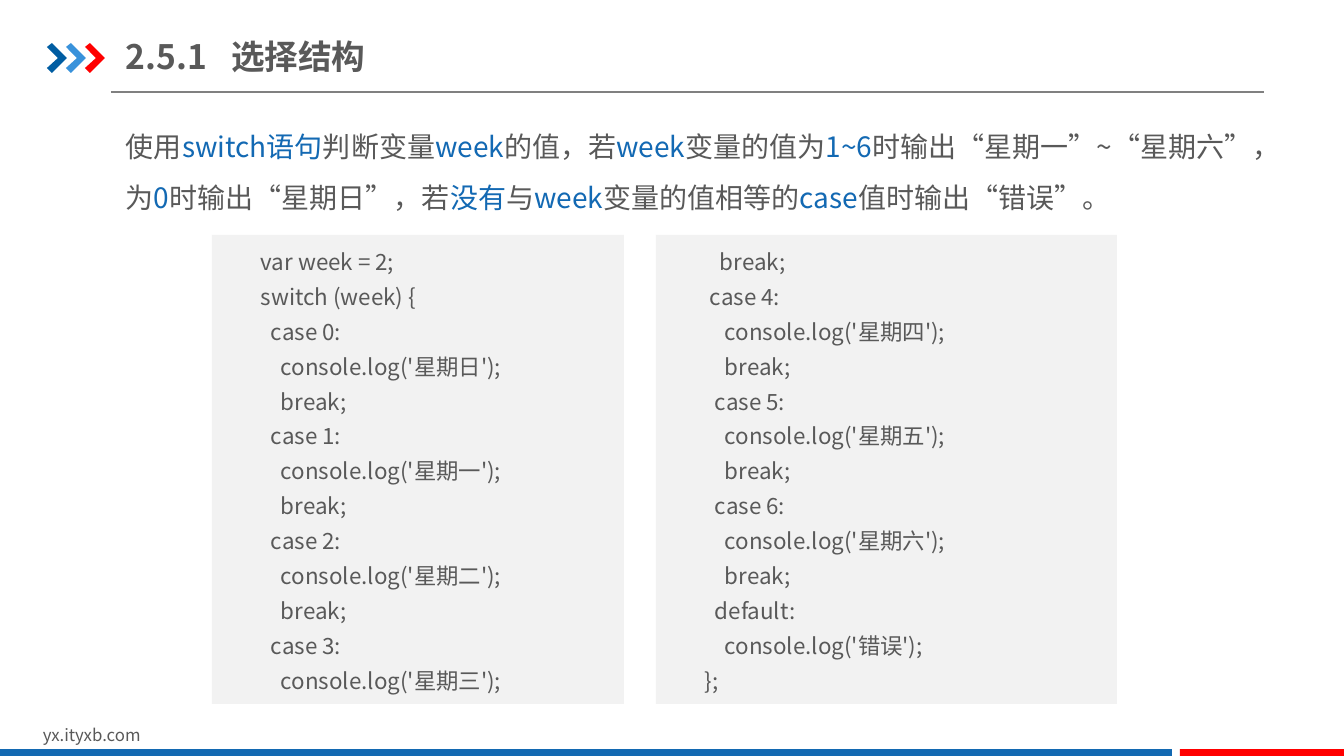
from lxml import etree
from pptx import Presentation
from pptx.dml.color import RGBColor
from pptx.enum.shapes import MSO_CONNECTOR, MSO_SHAPE
from pptx.enum.text import MSO_ANCHOR, MSO_AUTO_SIZE, PP_ALIGN
from pptx.oxml.ns import qn
from pptx.util import Pt

RECT = MSO_SHAPE.RECTANGLE
LINE = MSO_CONNECTOR.STRAIGHT
TOP, MIDDLE = MSO_ANCHOR.TOP, MSO_ANCHOR.MIDDLE
GROW = MSO_AUTO_SIZE.SHAPE_TO_FIT_TEXT
LEFT = PP_ALIGN.LEFT

SCALE = 914400 / 100.8
FONT = "Noto Sans CJK SC"
GRAY, BLUE, BAR, RED, PANEL = "595959", "1369B3", "1369B2", "FF0000", "F2F2F2"

TITLE = "2.5.1\t选择结构"
SITE = "yx.ityxb.com"
INTRO = [
    ("使用", GRAY), ("switch语句", BLUE), ("判断变量", GRAY), ("week", BLUE),
    ("的值，若", GRAY), ("week", BLUE), ("变量的值为", GRAY), ("1~6", BLUE),
    ("时输出“星期一”~“星期六”，为", GRAY), ("0", BLUE),
    ("时输出“星期日”，若", GRAY), ("没有", BLUE), ("与", GRAY), ("week", BLUE),
    ("变量的值相等的", GRAY), ("case", BLUE), ("值时输出“错误”。", GRAY),
]
CODE_LEFT = [
    "var week = 2;",
    "switch (week) {",
    "  case 0:",
    "    console.log('星期日');",
    "    break;",
    "  case 1:",
    "    console.log('星期一');",
    "    break;",
    "  case 2:",
    "    console.log('星期二');",
    "    break;",
    "  case 3:",
    "    console.log('星期三');",
]
CODE_RIGHT = [
    "   break;",
    " case 4:",
    "    console.log('星期四');",
    "    break;",
    "  case 5:",
    "    console.log('星期五');",
    "    break;",
    "  case 6:",
    "    console.log('星期六');",
    "    break;",
    "  default:",
    "    console.log('错误');",
    "};",
]
PANELS = [(212, 412, CODE_LEFT), (656, 461, CODE_RIGHT)]  # left, width, lines
BARS = [(0, 1172, BAR), (1180, 164, RED)]  # left, width, colour
ARROWS = ["005DA2", "3992DB", RED]
ARROW = [(0, 4), (5, 0), (20, 15), (5, 30), (0, 25), (11, 15)]
ARROW_X, ARROW_Y, ARROW_STEP = 47, 43, 19


def px(n):
    return round(n * SCALE)


def color(code):
    return RGBColor.from_string(code)


def paint(shape, code):
    shape.shadow.inherit = False
    shape.fill.solid()
    shape.fill.fore_color.rgb = color(code)
    shape.line.fill.background()


def add_run(para, text, size, code=GRAY, bold=False):
    run = para.add_run()
    run.text = text
    font = run.font
    font.size, font.bold, font.name = Pt(size), bold, FONT
    font.color.rgb = color(code)
    asian = etree.SubElement(run._r.get_or_add_rPr(), qn("a:ea"))
    asian.set("typeface", FONT)


def add_box(left, top, width, height):
    box = slide.shapes.add_textbox(px(left), px(top), px(width), px(height))
    box.text_frame.word_wrap = True
    return box.text_frame


def add_panel(left, width, lines):
    panel = slide.shapes.add_shape(RECT, px(left), px(235), px(width), px(469))
    paint(panel, PANEL)
    frame = panel.text_frame
    frame.word_wrap, frame.auto_size = True, GROW
    frame.vertical_anchor = TOP
    for i, line in enumerate(lines):
        para = frame.add_paragraph() if i else frame.paragraphs[0]
        para.alignment, para.line_spacing = LEFT, 1.3
        props = para._p.get_or_add_pPr()
        props.set("marL", str(px(39)))
        props.set("indent", "0")
        add_run(para, line, 16)


deck = Presentation()
deck.slide_width, deck.slide_height = px(1344), px(756)
slide = deck.slides.add_slide(deck.slide_layouts[6])

rule = slide.shapes.add_connector(LINE, px(111), px(92), px(1264), px(92))
rule.line.color.rgb = color("808080")
rule.line.width = Pt(0.75)
etree.SubElement(rule._element.spPr, qn("a:effectLst"))

for i, code in enumerate(ARROWS):
    spots = [(ARROW_X + i * ARROW_STEP + x, ARROW_Y + y) for x, y in ARROW]
    path = slide.shapes.build_freeform(*spots[0], scale=SCALE)
    path.add_line_segments(spots[1:], close=True)
    paint(path.convert_to_shape(), code)

site = add_box(33, 720, 321, 30)
add_run(site.paragraphs[0], SITE, 12)

for left, width, code in BARS:
    bar = slide.shapes.add_shape(RECT, px(left), px(749), px(width), px(9))
    paint(bar, code)

title = add_box(126, 29, 490, 55)
title.margin_left = title.margin_right = 0
title.margin_top = title.margin_bottom = px(7)
title.vertical_anchor = MIDDLE
para = title.paragraphs[0]
tabs = etree.SubElement(para._p.get_or_add_pPr(), qn("a:tabLst"))
etree.SubElement(tabs, qn("a:tab"), pos=str(px(105)), algn="l")
add_run(para, TITLE, 24, bold=True)

intro = add_box(116, 108, 1151, 112)
intro.auto_size = GROW
para = intro.paragraphs[0]
para.line_spacing = 1.5
for text, code in INTRO:
    add_run(para, text, 20, code)

for left, width, lines in PANELS:
    add_panel(left, width, lines)

deck.save("out.pptx")
